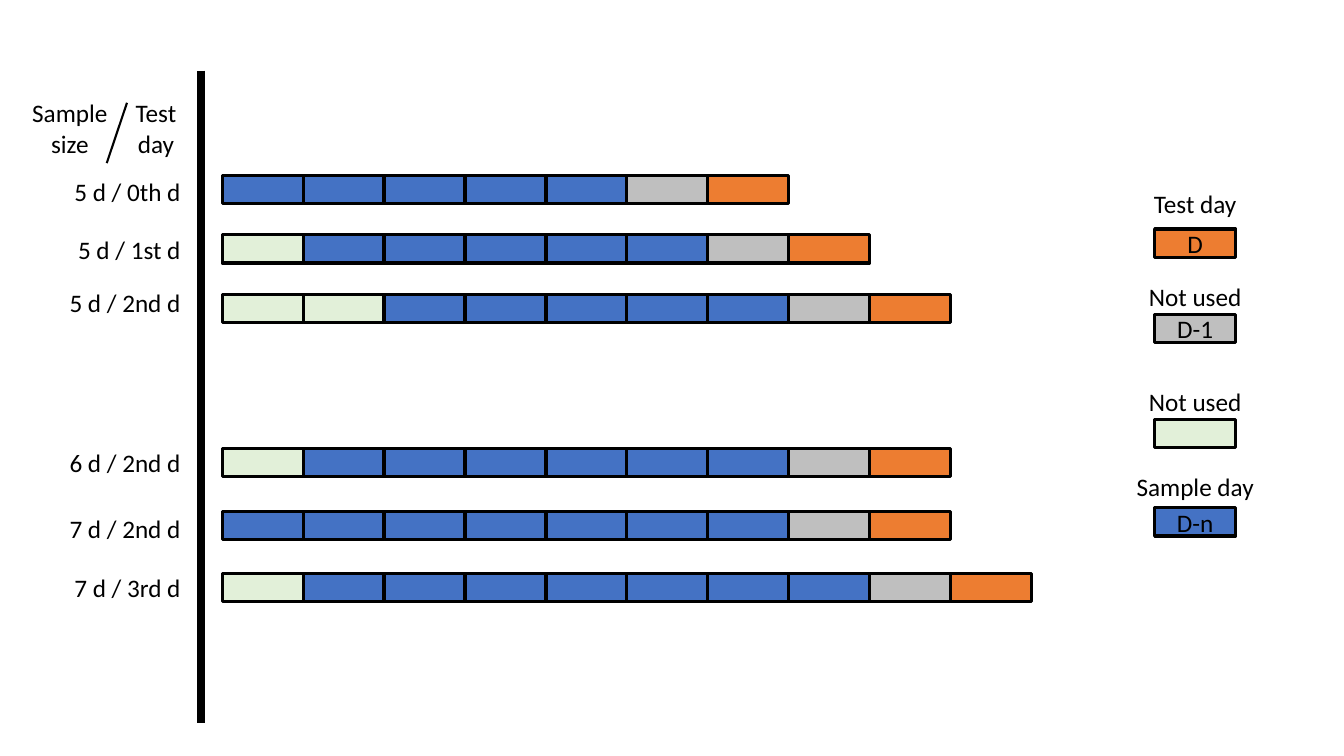
from dataclasses import dataclass

from lxml import etree
from pptx import Presentation
from pptx import util as u
from pptx.dml.color import RGBColor
from pptx.enum import shapes, text
from pptx.oxml.ns import qn
from pptx.slide import Slide
from pptx.text.text import TextFrame

BLACK = RGBColor(0x00, 0x00, 0x00)
UNUSED = RGBColor(0xE2, 0xF0, 0xD9)
SAMPLE = RGBColor(0x44, 0x72, 0xC4)
DAY_BEFORE = RGBColor(0xBF, 0xBF, 0xBF)
TEST = RGBColor(0xED, 0x7D, 0x31)

DAY_WIDTH, DAY_HEIGHT = 2.04, 0.71
BAR_LEFT = 5.6
LABEL_LEFT, LABEL_WIDTH = 0.6, 4.2
LABEL_HEIGHT = 1.02
LEGEND_LEFT, CAPTION_WIDTH = 29.1, 4.0


@dataclass(frozen=True)
class Schedule:
    label: str
    label_top: float
    bar_top: float
    unused_days: int
    sample_days: int


@dataclass(frozen=True)
class LegendEntry:
    caption: str
    code: str
    color: RGBColor
    caption_top: float
    swatch_top: float


@dataclass(frozen=True)
class Heading:
    words: str
    left: float
    width: float


SCHEDULES = [
    Schedule("5 d / 0th d", 4.32, 4.42, 0, 5),
    Schedule("5 d / 1st d", 5.77, 5.92, 1, 5),
    Schedule("5 d / 2nd d", 7.11, 7.42, 2, 5),
    Schedule("6 d / 2nd d", 11.15, 11.3, 1, 6),
    Schedule("7 d / 2nd d", 12.8, 12.88, 0, 7),
    Schedule("7 d / 3rd d", 14.3, 14.45, 1, 7),
]

LEGEND = [
    LegendEntry("Test day", "D", TEST, 4.62, 5.77),
    LegendEntry("Not used", "D-1", DAY_BEFORE, 6.96, 7.92),
    LegendEntry("Not used", "", UNUSED, 9.6, 10.57),
    LegendEntry("Sample day", "D-n", SAMPLE, 11.76, 12.8),
]

HEADINGS = [Heading("Sample\nsize", 0.31, 2.9), Heading("Test\nday", 2.93, 2.0)]


def write(frame: TextFrame, words: str, align: text.PP_ALIGN) -> None:
    frame.text = words
    for para in frame.paragraphs:
        para.alignment = align
        for span in para.runs:
            span.font.name = "Calibri"
            span.font.size = u.Pt(18)
            span.font.color.rgb = BLACK


def add_label(page: Slide, words: str, left: float, top: float, width: float,
              align: text.PP_ALIGN, height: float = LABEL_HEIGHT) -> None:
    box = page.shapes.add_textbox(u.Cm(left), u.Cm(top), u.Cm(width), u.Cm(height))
    box.text_frame.word_wrap = True
    write(box.text_frame, words, align)


def add_day(page: Slide, left: float, top: float, color: RGBColor, code: str = "") -> None:
    box = page.shapes.add_shape(shapes.MSO_SHAPE.RECTANGLE, u.Cm(left), u.Cm(top),
                                u.Cm(DAY_WIDTH), u.Cm(DAY_HEIGHT))
    box.shadow.inherit = False
    box.fill.solid()
    box.fill.fore_color.rgb = color
    box.line.color.rgb = BLACK
    box.line.width = u.Pt(2.25)
    if code:
        frame = box.text_frame
        frame.margin_top = frame.margin_bottom = 0
        frame.vertical_anchor = text.MSO_ANCHOR.MIDDLE
        write(frame, code, text.PP_ALIGN.CENTER)


def add_line(page: Slide, start: tuple[float, float], end: tuple[float, float],
             points: float) -> None:
    line = page.shapes.add_connector(shapes.MSO_CONNECTOR.STRAIGHT,
                                     *(u.Cm(value) for value in start + end))
    line.line.color.rgb = BLACK
    line.line.width = u.Pt(points)
    etree.SubElement(line._element.spPr, qn("a:effectLst"))


def add_schedule(page: Slide, schedule: Schedule) -> None:
    add_label(page, schedule.label, LABEL_LEFT, schedule.label_top, LABEL_WIDTH,
              text.PP_ALIGN.RIGHT)
    days = ([UNUSED] * schedule.unused_days + [SAMPLE] * schedule.sample_days
            + [DAY_BEFORE, TEST])
    for index, color in enumerate(days):
        add_day(page, BAR_LEFT + index * DAY_WIDTH, schedule.bar_top, color)


def add_legend_entry(page: Slide, entry: LegendEntry) -> None:
    caption_left = LEGEND_LEFT + (DAY_WIDTH - CAPTION_WIDTH) / 2
    add_label(page, entry.caption, caption_left, entry.caption_top, CAPTION_WIDTH,
              text.PP_ALIGN.CENTER)
    add_day(page, LEGEND_LEFT, entry.swatch_top, entry.color, entry.code)


def main() -> None:
    deck = Presentation()
    deck.slide_width, deck.slide_height = u.Cm(33.87), u.Cm(19.05)
    page = deck.slides.add_slide(deck.slide_layouts[6])

    add_line(page, (5.06, 1.78), (5.06, 18.21), 6)
    for heading in HEADINGS:
        add_label(page, heading.words, heading.left, 2.34, heading.width,
                  text.PP_ALIGN.CENTER, height=1.8)
    add_line(page, (3.2, 2.59), (2.69, 4.11), 1.5)
    for schedule in SCHEDULES:
        add_schedule(page, schedule)
    for entry in LEGEND:
        add_legend_entry(page, entry)

    deck.save("out.pptx")


if __name__ == "__main__":
    main()
